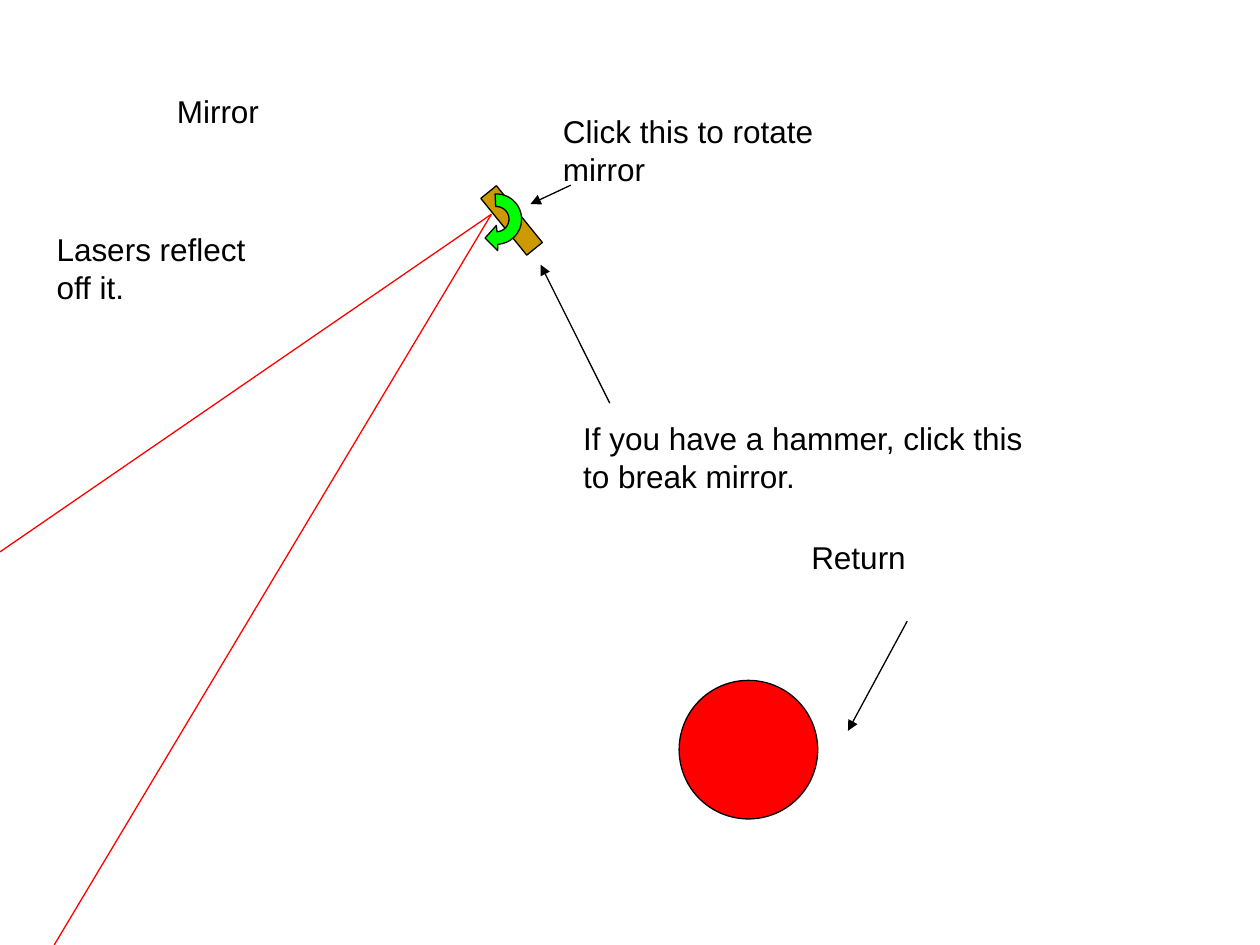
"""Builds a slide showing how a laser mirror is rotated, broken and left."""
from math import cos, radians, sin

from lxml.etree import SubElement
from pptx import Presentation
from pptx.dml.color import RGBColor
from pptx.enum.shapes import MSO_CONNECTOR as Connector, MSO_SHAPE as Shape
from pptx.enum.text import MSO_ANCHOR as Anchor, MSO_AUTO_SIZE as AutoSize, PP_ALIGN as Align
from pptx.oxml.ns import qn
from pptx.util import Inches, Pt

BLACK = RGBColor(0x00, 0x00, 0x00)
RED = RGBColor(0xFF, 0x00, 0x00)
GREEN = RGBColor(0x00, 0xFF, 0x00)
GOLD = RGBColor(0xCC, 0x99, 0x00)


class MirrorSlide:
    font = "Arial"
    text_size = Pt(18)
    line_width = Pt(0.75)

    def __init__(self, presentation):
        self.slide = presentation.slides.add_slide(presentation.slide_layouts[5])
        self.shapes = self.slide.shapes

    def set_text(self, box, text, align):
        frame = box.text_frame
        frame.text = text
        frame.word_wrap = True
        frame.auto_size = AutoSize.NONE
        frame.vertical_anchor = Anchor.TOP
        paragraph = frame.paragraphs[0]
        paragraph.alignment = align
        paragraph.font.name = self.font
        paragraph.font.size = self.text_size
        paragraph.font.color.rgb = BLACK

    def title(self, text, left, top, width, height):
        heading = self.shapes.title
        heading.left, heading.top = Inches(left), Inches(top)
        heading.width, heading.height = Inches(width), Inches(height)
        self.set_text(heading, text, Align.CENTER)

    def label(self, text, left, top, width, height):
        box = self.shapes.add_textbox(*map(Inches, (left, top, width, height)))
        self.set_text(box, text, Align.LEFT)

    def paint(self, shape, fill):
        shape.shadow.inherit = False
        shape.fill.solid()
        shape.fill.fore_color.rgb = fill
        shape.line.color.rgb = BLACK
        shape.line.width = self.line_width

    def figure(self, kind, left, top, width, height, fill, rotation=0):
        shape = self.shapes.add_shape(kind, *map(Inches, (left, top, width, height)))
        shape.rotation = rotation
        self.paint(shape, fill)

    def outline(self, points, fill):
        corners = [(Inches(x), Inches(y)) for x, y in points]
        builder = self.shapes.build_freeform(*corners[0])
        builder.add_line_segments(corners[1:], close=True)
        self.paint(builder.convert_to_shape(), fill)

    def line(self, start, end, color):
        connector = self.shapes.add_connector(
            Connector.STRAIGHT, *map(Inches, (*start, *end)))
        connector.line.color.rgb = color
        connector.line.width = self.line_width
        SubElement(connector._element.spPr, qn("a:effectLst"))
        return connector

    def arrow(self, start, end):
        pointer = self.line(start, end, BLACK)
        SubElement(pointer.line._get_or_add_ln(), qn("a:tailEnd"), type="triangle")


def arc(center, radius, first, last, step):
    x, y = center
    return [(x + radius * cos(radians(angle)), y + radius * sin(radians(angle)))
            for angle in range(first, last + step, step)]


def main():
    presentation = Presentation()
    presentation.slide_width, presentation.slide_height = Inches(10), Inches(7.5)
    mirror = MirrorSlide(presentation)
    mirror.title("Mirror", 0.43, 0.68, 2.6, 0.4)

    mirror.figure(Shape.RECTANGLE, 3.77, 1.67, 0.58, 0.16, GOLD, rotation=51)
    pivot = (3.94, 1.74)
    arrowhead = [(3.95, 1.99), (3.85, 1.89), (3.94, 1.79)]
    mirror.outline(
        arc(pivot, 0.1, 87, -93, -6) + arc(pivot, 0.2, -93, 87, 6) + arrowhead, GREEN)

    reflection = (3.9, 1.7)
    for beam_end in ((0.43, 7.5), (0, 4.38)):
        mirror.line(reflection, beam_end, RED)

    mirror.label("Lasers reflect off it.", 0.35, 1.78, 1.89, 0.7)
    mirror.label("Click this to rotate mirror", 4.37, 0.84, 2.44, 0.7)
    mirror.arrow((4.53, 1.47), (4.21, 1.62))
    mirror.label("If you have a hammer, click this to break mirror.", 4.53, 3.28, 3.86, 0.7)
    mirror.arrow((4.84, 3.2), (4.29, 2.1))
    mirror.label("Return", 6.34, 4.22, 1.89, 0.4)
    mirror.arrow((7.2, 4.93), (6.73, 5.8))
    mirror.figure(Shape.OVAL, 5.39, 5.4, 1.1, 1.1, RED)
    presentation.save("out.pptx")


if __name__ == "__main__":
    main()
